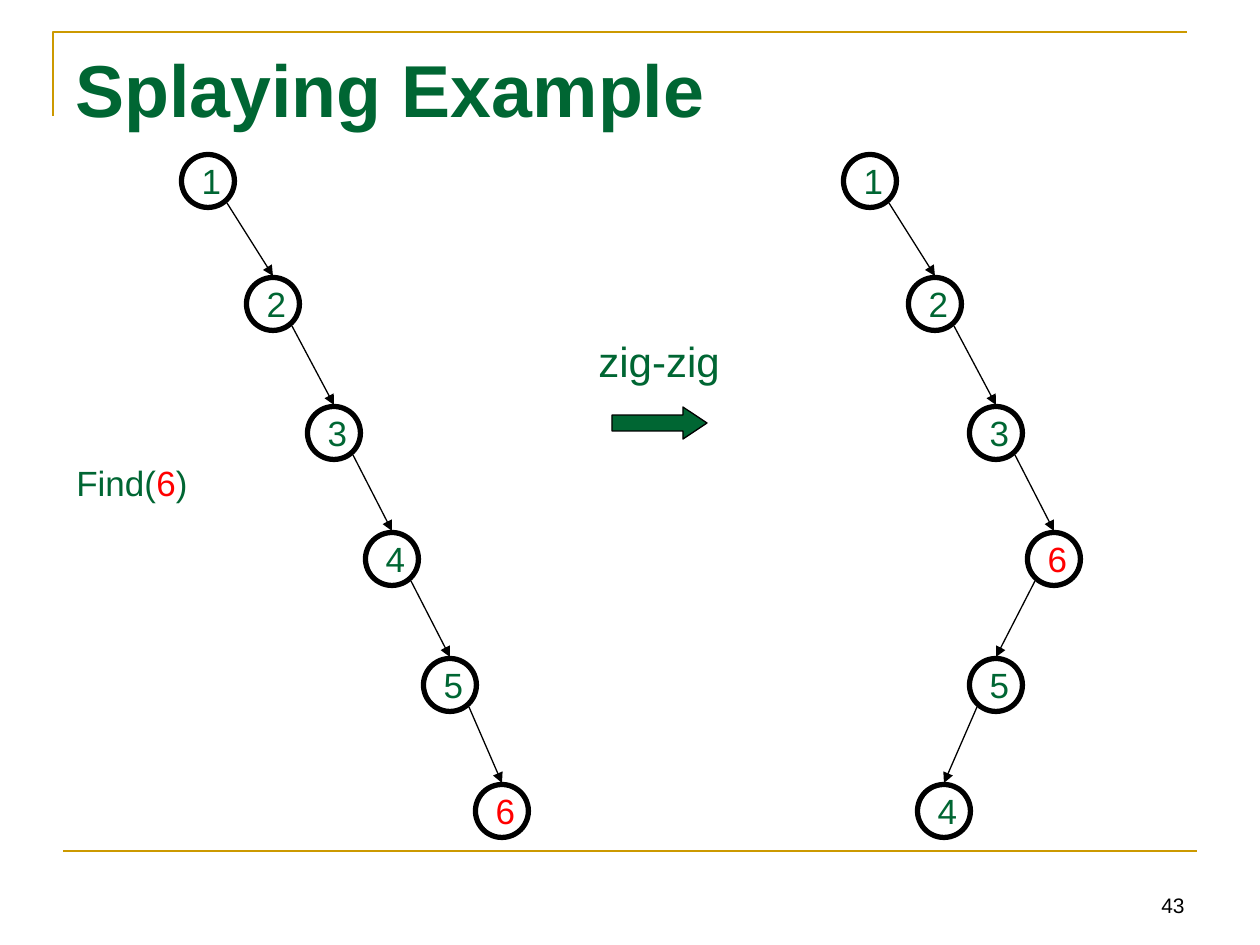
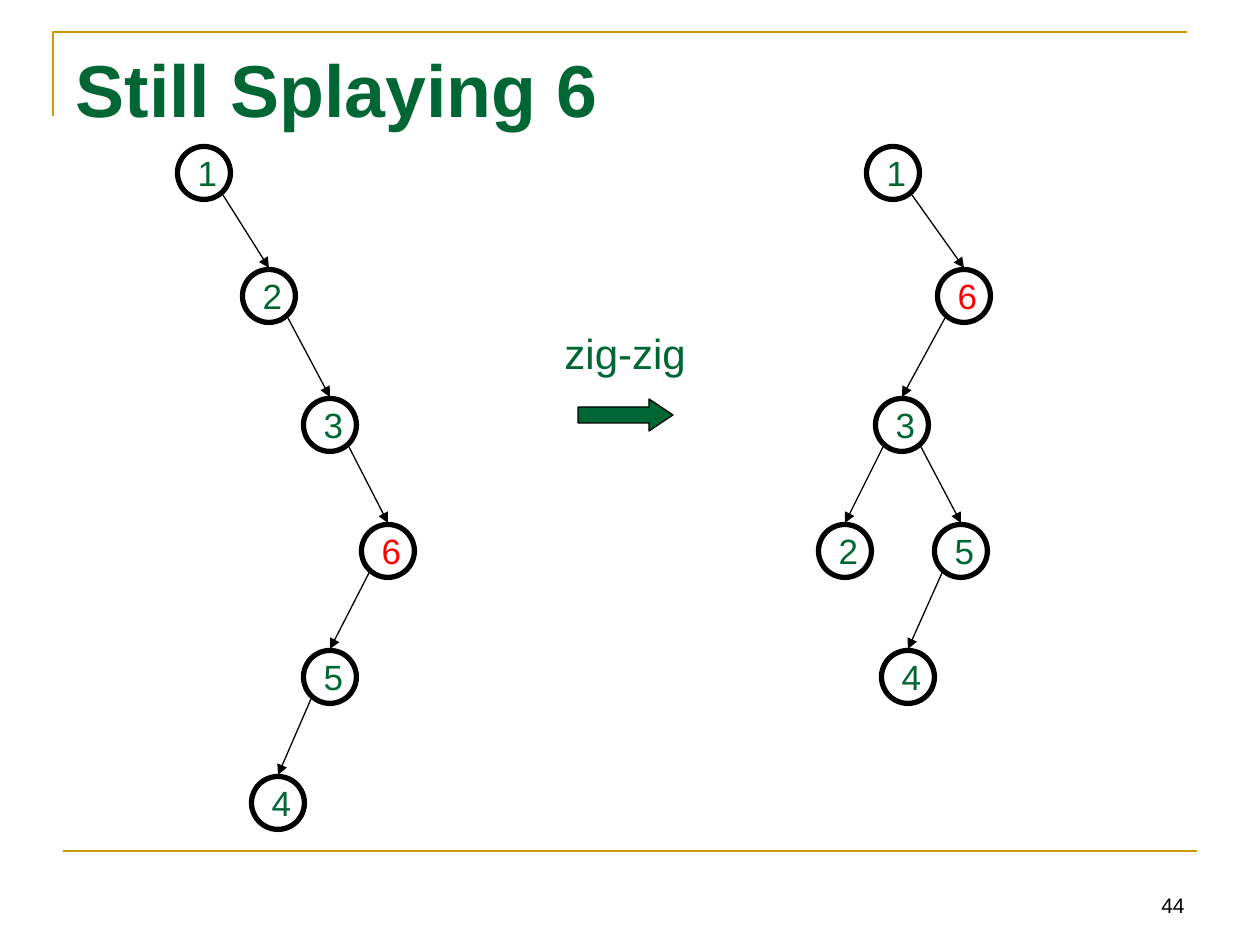
from lxml import etree
from pptx import Presentation
from pptx.dml.color import RGBColor
from pptx.enum.shapes import MSO_CONNECTOR, MSO_SHAPE
from pptx.enum.text import MSO_ANCHOR, MSO_AUTO_SIZE, PP_ALIGN
from pptx.oxml.ns import qn
from pptx.util import Emu, Pt

STRAIGHT = MSO_CONNECTOR.STRAIGHT
OVAL, RIGHT_ARROW = MSO_SHAPE.OVAL, MSO_SHAPE.RIGHT_ARROW
TOP, MIDDLE, BOTTOM = MSO_ANCHOR.TOP, MSO_ANCHOR.MIDDLE, MSO_ANCHOR.BOTTOM
LEFT, RIGHT = PP_ALIGN.LEFT, PP_ALIGN.RIGHT

GREEN = RGBColor(0x00, 0x66, 0x33)
GOLD = RGBColor(0xCC, 0x99, 0x00)
RED = RGBColor(0xFF, 0x00, 0x00)
BLACK = RGBColor(0x00, 0x00, 0x00)
FONT = "Arial"

PX_PER_INCH = 126
TITLE_ONLY = 5
NODE_SIZE = 53
LEVELS = [0, 123, 252, 378, 504, 630]
EDGE_START = (19, 22)  # from the parent's centre to its lower corner
EDGE_END = 28          # from the child's centre up to the arrow tip
SPLAYED = "6"

# Each node: value, parent, horizontal offset from the root, level
CHAIN = [("1", None, 0, 0), ("2", "1", 65, 1), ("3", "2", 126, 2),
         ("4", "3", 184, 3), ("5", "4", 242, 4), ("6", "5", 294, 5)]
AFTER_FIRST_ZIG_ZIG = CHAIN[:3] + [
    ("6", "3", 184, 3), ("5", "6", 126, 4), ("4", "5", 74, 5)]
AFTER_SECOND_ZIG_ZIG = [
    ("1", None, 0, 0), ("6", "1", 71, 1), ("3", "6", 9, 2),
    ("2", "3", -48, 3), ("5", "3", 68, 3), ("4", "5", 15, 4)]


def px(length):
    return Emu(round(length * 914400 / PX_PER_INCH))


def box(*lengths):
    return [px(length) for length in lengths]


def style_paragraph(paragraph, size, color=GREEN, bold=False, align=LEFT):
    paragraph.alignment = align
    font = paragraph.font
    font.name, font.size, font.bold = FONT, Pt(size), bold
    font.color.rgb = color


def style_line(shape, color, width):
    shape.line.color.rgb = color
    shape.line.width = Pt(width)


def add_line(shapes, start, end, color, width, arrow=False):
    line = shapes.add_connector(STRAIGHT, *box(*start, *end))
    style_line(line, color, width)
    if arrow:
        etree.SubElement(line.line._get_or_add_ln(), qn("a:tailEnd"), type="triangle")
    etree.SubElement(line._element.spPr, qn("a:effectLst"))


def add_label(shapes, area, text, size, color=GREEN, align=LEFT, anchor=TOP, wrap=False):
    label = shapes.add_textbox(*box(*area))
    frame = label.text_frame
    frame.word_wrap, frame.vertical_anchor = wrap, anchor
    frame.text = text
    style_paragraph(frame.paragraphs[0], size, color, align=align)
    return frame.paragraphs[0]


def add_frame(slide, title, number):
    """Title, gold rules and page number."""
    # Corner rule and footer rule
    builder = slide.shapes.build_freeform(*box(53, 116))
    builder.add_line_segments([box(53, 32), box(1187, 32)], close=False)
    corner = builder.convert_to_shape()
    corner.shadow.inherit = False
    corner.fill.background()
    style_line(corner, GOLD, 1.5)
    add_line(slide.shapes, (63, 851), (1197, 851), GOLD, 1.5)

    # Title
    placeholder = slide.shapes.title
    placeholder.left, placeholder.top, placeholder.width, placeholder.height = box(
        63, 38, 1134, 158)
    frame = placeholder.text_frame
    frame.text = title
    frame.vertical_anchor = TOP
    frame.auto_size = MSO_AUTO_SIZE.NONE
    style_paragraph(frame.paragraphs[0], 42, bold=True)

    # Page number
    add_label(slide.shapes, (903, 861, 294, 63), str(number), 12, BLACK,
              RIGHT, BOTTOM, wrap=True)


def add_node(shapes, x, y, value):
    node = shapes.add_shape(
        OVAL, *box(x - NODE_SIZE / 2, y - NODE_SIZE / 2, NODE_SIZE, NODE_SIZE))
    node.shadow.inherit = False
    node.fill.background()
    style_line(node, BLACK, 3)
    frame = node.text_frame
    frame.word_wrap, frame.vertical_anchor = False, MIDDLE
    frame.text = value
    style_paragraph(frame.paragraphs[0], 20, RED if value == SPLAYED else GREEN)


def add_tree(slide, root_x, root_y, nodes):
    """Tree whose root is centred on the given point."""
    shapes = slide.shapes.add_group_shape().shapes
    centres = {}
    for value, parent, offset, level in nodes:
        x, y = root_x + offset, root_y + LEVELS[level]
        centres[value] = (x, y)
        add_node(shapes, x, y, value)
        if parent:
            parent_x, parent_y = centres[parent]
            side = 1 if x > parent_x else -1
            start = (parent_x + side * EDGE_START[0], parent_y + EDGE_START[1])
            add_line(shapes, start, (x, y - EDGE_END), BLACK, 0.75, arrow=True)


def add_rotation(slide, left, top):
    """Rotation name above a block arrow."""
    shapes = slide.shapes.add_group_shape().shapes
    add_label(shapes, (left, top, 147, 63), "zig-zig", 24)
    arrow = shapes.add_shape(RIGHT_ARROW, *box(left + 26, top + 78, 95, 32))
    arrow.adjustments[0], arrow.adjustments[1] = 0.5, 0.75
    arrow.shadow.inherit = False
    arrow.fill.solid()
    arrow.fill.fore_color.rgb = GREEN
    style_line(arrow, BLACK, 0.75)


def add_query(slide, left, top):
    paragraph = add_label(slide.shapes, (left, top, 137, 55), "Find(", 20)
    for text, color in ((SPLAYED, RED), (")", GREEN)):
        run = paragraph.add_run()
        run.text = text
        run.font.color.rgb = color


def add_splay_slide(presentation, title, number, before, rotation, after):
    slide = presentation.slides.add_slide(presentation.slide_layouts[TITLE_ONLY])
    add_frame(slide, title, number)
    add_tree(slide, *before)
    add_rotation(slide, *rotation)
    add_tree(slide, *after)
    return slide


def main():
    presentation = Presentation()
    presentation.slide_width, presentation.slide_height = box(1260, 945)

    first = add_splay_slide(
        presentation, "Splaying Example", 43,
        (208, 181, CHAIN), (586, 329), (870, 181, AFTER_FIRST_ZIG_ZIG))
    add_query(first, 64, 455)

    add_splay_slide(
        presentation, "Still Splaying 6", 44,
        (204, 173, AFTER_FIRST_ZIG_ZIG), (552, 321), (893, 173, AFTER_SECOND_ZIG_ZIG))

    presentation.save("out.pptx")


if __name__ == "__main__":
    main()
